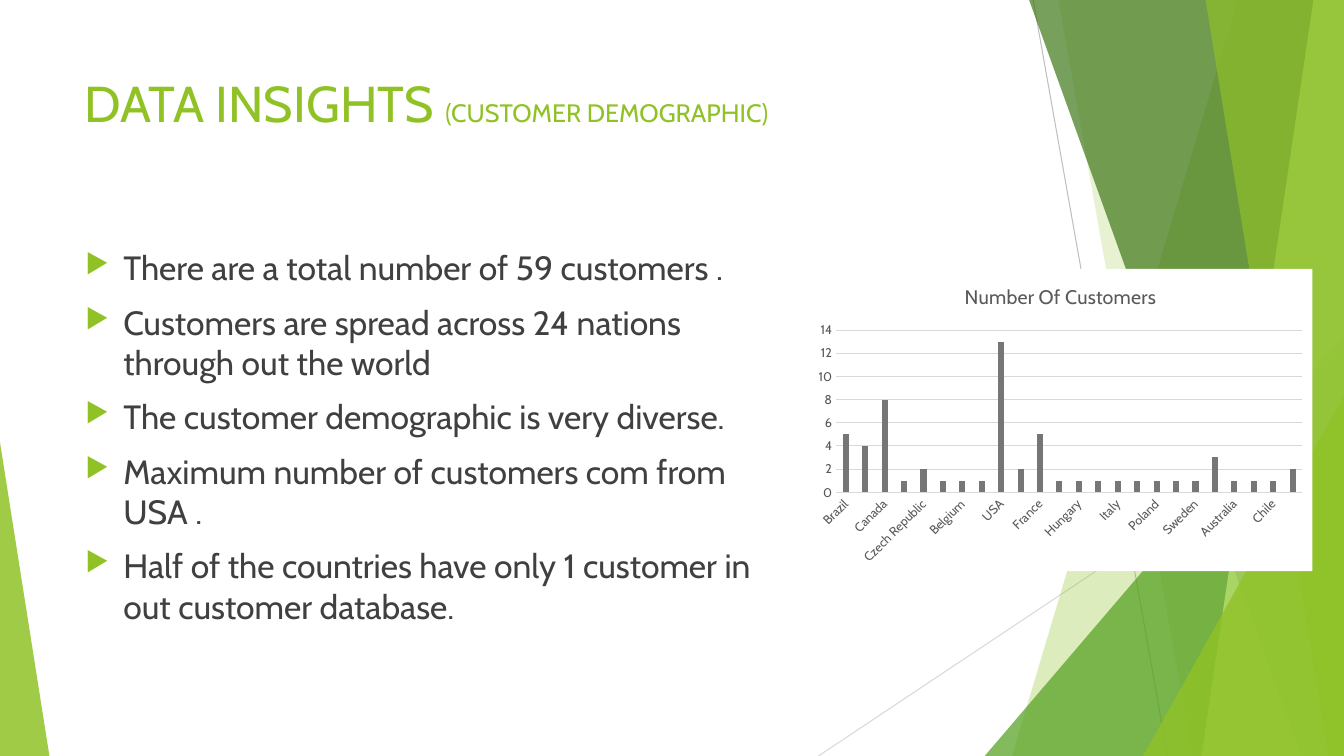
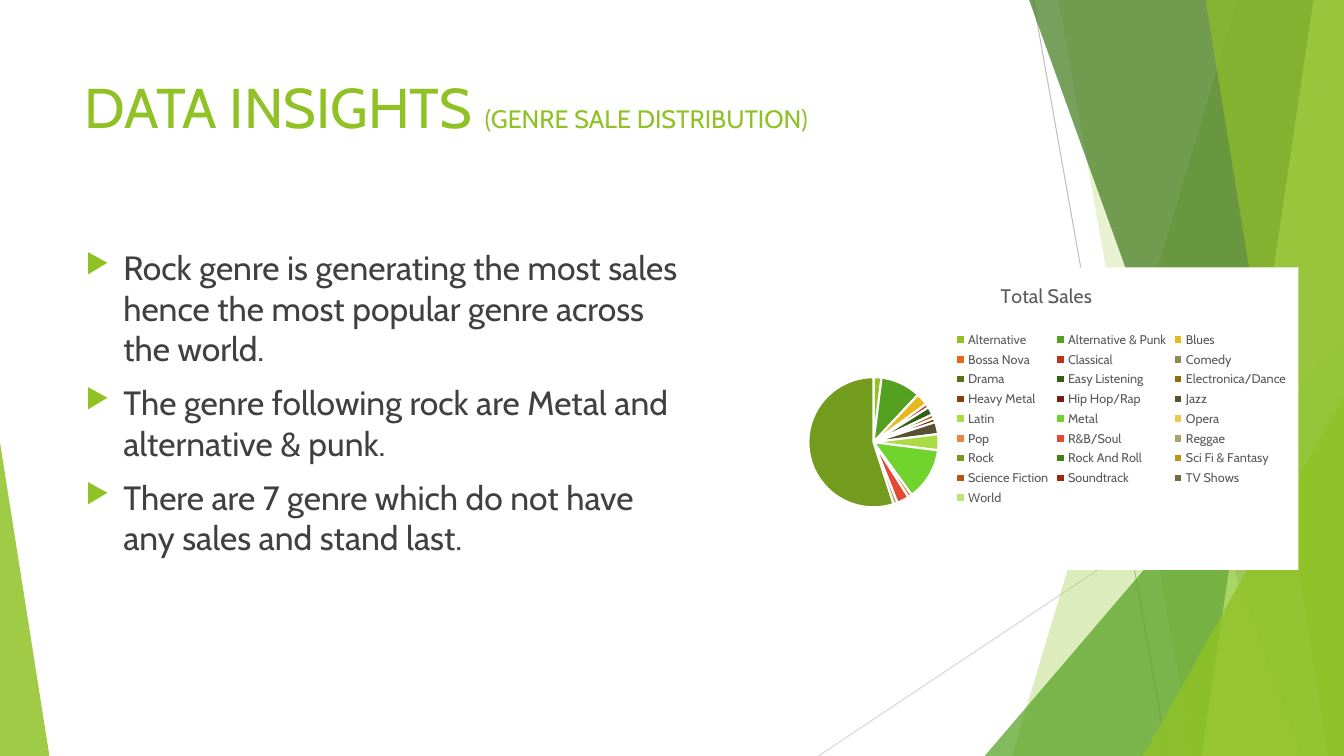
from lxml.etree import SubElement
from pptx import Presentation
from pptx.chart.data import CategoryChartData
from pptx.dml.color import RGBColor
from pptx.enum.chart import XL_CHART_TYPE, XL_LEGEND_POSITION, XL_TICK_MARK
from pptx.enum.shapes import MSO_CONNECTOR, MSO_SHAPE
from pptx.enum.text import MSO_ANCHOR, MSO_AUTO_SIZE, PP_ALIGN
from pptx.oxml import parse_xml
from pptx.oxml.ns import nsdecls, qn
from pptx.util import Pt

WIDTH, HEIGHT = 960, 540
TITLE_ONLY = 5
FONT = "Cabin"
COLORS = {
    "lime": "90C226", "green": "54A021", "forest": "3F7819", "pale": "C0E474",
    "text": "404040", "label": "595959", "black": "000000", "white": "FFFFFF",
    "line": "BFBFBF", "grid": "D9D9D9", "bar": "767676",
}

CUSTOMERS = {
    "Brazil": 5, "Germany": 4, "Canada": 8, "Norway": 1, "Czech Republic": 2,
    "Austria": 1, "Belgium": 1, "Denmark": 1, "USA": 13, "Portugal": 2,
    "France": 5, "Finland": 1, "Hungary": 1, "Ireland": 1, "Italy": 1,
    "Netherlands": 1, "Poland": 1, "Spain": 1, "Sweden": 1,
    "United Kingdom": 3, "Australia": 1, "Argentina": 1, "Chile": 1, "India": 2,
}

# Genre: (sales, slice colour)
GENRES = {
    "Alternative": (2, "90C226"), "Alternative & Punk": (10, "54A021"),
    "Blues": (3, "E6B91E"), "Bossa Nova": (0, "E76618"),
    "Classical": (1, "C42F1A"), "Comedy": (0, "918655"),
    "Drama": (0, "567417"), "Easy Listening": (2, "326014"),
    "Electronica/Dance": (1, "8C7010"), "Heavy Metal": (0, "8B3D0E"),
    "Hip Hop/Rap": (1, "761C10"), "Jazz": (3, "575033"),
    "Latin": (4, "ABDB45"), "Metal": (13, "70D42D"),
    "Opera": (0, "EBC74B"), "Pop": (1, "EC8546"),
    "R&B/Soul": (3, "E44934"), "Reggae": (1, "ACA272"),
    "Rock": (55, "739B1E"), "Rock And Roll": (0, "43801A"),
    "Sci Fi & Fantasy": (0, "BB9615"), "Science Fiction": (0, "B95213"),
    "Soundtrack": (0, "9D2615"), "TV Shows": (0, "746B44"),
    "World": (0, "C0E474"),
}


def rgb(color):
    return RGBColor.from_string(COLORS.get(color, color))


class Deck:
    """Holds the presentation, its style and the current slide."""

    def __init__(self):
        self.presentation = Presentation()
        self.presentation.slide_width = Pt(WIDTH)
        self.presentation.slide_height = Pt(HEIGHT)
        self.slide = None

    def new_slide(self):
        layout = self.presentation.slide_layouts[TITLE_ONLY]
        self.slide = self.presentation.slides.add_slide(layout)
        self.facets()

    def font(self, font, size, color):
        font.name, font.size, font.bold = FONT, Pt(size), False
        font.color.rgb = rgb(color)

    # Decoration
    def facets(self):
        self.line(738, 0, 834, HEIGHT, "line")
        self.line(WIDTH, 290, 584.6, HEIGHT, "grid")
        self.band(884.2, 722.9, "lime", 30)
        self.band(756, 851.8, "lime", 20)
        self.triangle(703.4, 239.8, 256.6, 1, "green", 72)
        self.band(735.1, 929.5, "forest", 70)
        self.band(938.2, 858.2, "pale", 70)
        self.band(861.1, 949, "lime", 65)
        self.triangle(816.5, 283, 143.5, 1, "lime", 80)
        self.triangle(0, 316, 35.3, 0, "lime", 85)

    def line(self, x1, y1, x2, y2, color):
        connector = self.slide.shapes.add_connector(
            MSO_CONNECTOR.STRAIGHT, Pt(x1), Pt(y1), Pt(x2), Pt(y2))
        connector.line.color.rgb = rgb(color)
        connector.line.width = Pt(0.75)
        SubElement(connector.element.spPr, qn("a:effectLst"))

    def band(self, top_x, bottom_x, color, opacity):
        """A full-height panel from a slanted left edge to the right edge."""
        builder = self.slide.shapes.build_freeform(Pt(top_x), 0)
        corners = [(WIDTH, 0), (WIDTH, HEIGHT), (bottom_x, HEIGHT)]
        builder.add_line_segments([(Pt(x), Pt(y)) for x, y in corners])
        self.tint(builder.convert_to_shape(), color, opacity)

    def triangle(self, left, top, width, apex, color, opacity):
        shape = self.slide.shapes.add_shape(
            MSO_SHAPE.ISOSCELES_TRIANGLE,
            Pt(left), Pt(top), Pt(width), Pt(HEIGHT - top))
        shape.adjustments[0] = apex
        self.tint(shape, color, opacity)

    def tint(self, shape, color, opacity):
        shape.shadow.inherit = False
        shape.line.fill.background()
        shape.fill.solid()
        shape.fill.fore_color.rgb = rgb(color)
        fill_color = shape.element.spPr.find(".//" + qn("a:srgbClr"))
        SubElement(fill_color, qn("a:alpha"), val=str(opacity * 1000))

    # Text
    def title(self, heading, size, subject):
        title = self.slide.shapes.title
        title.left, title.top = Pt(53.3), Pt(48)
        title.width, title.height = Pt(677), Pt(104)
        text_frame = title.text_frame
        text_frame.auto_size = MSO_AUTO_SIZE.NONE
        text_frame.vertical_anchor = MSO_ANCHOR.TOP
        paragraph = text_frame.paragraphs[0]
        paragraph.alignment = PP_ALIGN.LEFT
        for text, run_size in ((heading + " ", size), (subject, 18)):
            run = paragraph.add_run()
            run.text = text
            self.font(run.font, run_size, "lime")

    def bullets(self, width, items):
        box = self.slide.shapes.add_textbox(Pt(54), Pt(173), Pt(width), Pt(317))
        text_frame = box.text_frame
        text_frame.word_wrap = True
        text_frame.text = "\n".join(items)
        for paragraph in text_frame.paragraphs:
            paragraph.space_before = Pt(10)
            self.font(paragraph.runs[0].font, 24, "text")
            properties = paragraph._p.get_or_add_pPr()
            properties.set("marL", str(Pt(27)))
            properties.set("indent", str(-Pt(27)))
            bullet_color = SubElement(properties, qn("a:buClr"))
            SubElement(bullet_color, qn("a:srgbClr"), val=COLORS["lime"])
            SubElement(properties, qn("a:buSzPct"), val="80000")
            SubElement(properties, qn("a:buChar"), char="▶")

    # Charts
    def chart(self, kind, left, top, title, categories, values):
        data = CategoryChartData()
        data.categories = categories
        data.add_series("Series 1", values)
        chart = self.slide.shapes.add_chart(
            kind, Pt(left), Pt(top), Pt(360), Pt(216), data).chart
        self.font(chart.font, 10, "black")
        chart.has_legend = False
        chart.has_title = True
        chart.chart_title.text_frame.text = title
        run = chart.chart_title.text_frame.paragraphs[0].runs[0]
        self.font(run.font, 14, "label")
        chart.element.find(qn("c:chart")).addnext(parse_xml(
            f'<c:spPr {nsdecls("c", "a")}><a:solidFill>'
            f'<a:srgbClr val="{COLORS["white"]}"/></a:solidFill>'
            '<a:ln><a:noFill/></a:ln></c:spPr>'))
        return chart

    def column_chart(self, left, top, title, data):
        chart = self.chart(XL_CHART_TYPE.COLUMN_CLUSTERED, left, top, title,
                           data.keys(), data.values())
        plot = chart.plots[0]
        plot.vary_by_categories = False
        plot.gap_width, plot.overlap = 219, -27
        fill = plot.series[0].format.fill
        fill.solid()
        fill.fore_color.rgb = rgb("bar")
        category_axis, value_axis = chart.category_axis, chart.value_axis
        for axis in (category_axis, value_axis):
            axis.major_tick_mark = axis.minor_tick_mark = XL_TICK_MARK.NONE
            self.font(axis.tick_labels.font, 9, "label")
        # Let the labels turn by themselves where they would collide
        body = category_axis._element.find(qn("c:txPr")).find(qn("a:bodyPr"))
        body.set("rot", "-60000000")
        value_axis.minimum_scale, value_axis.maximum_scale = 0, 14
        value_axis.major_unit = 2
        value_axis.format.line.fill.background()
        for line in (category_axis.format.line,
                     value_axis.major_gridlines.format.line):
            line.color.rgb = rgb("grid")
            line.width = Pt(0.75)

    def pie_chart(self, left, top, title, data):
        values, colors = zip(*data.values())
        chart = self.chart(XL_CHART_TYPE.PIE, left, top, title,
                           data.keys(), values)
        chart.plots[0].vary_by_categories = True
        chart.has_legend = True
        chart.legend.position = XL_LEGEND_POSITION.RIGHT
        chart.legend.include_in_layout = False
        self.font(chart.legend.font, 9, "label")
        for index, color in enumerate(colors):
            style = chart.plots[0].series[0].points[index].format
            style.fill.solid()
            style.fill.fore_color.rgb = rgb(color)
            style.line.color.rgb = rgb("white")
            style.line.width = Pt(1.5)


def main():
    deck = Deck()

    # Customers by country
    deck.new_slide()
    deck.title("DATA INSIGHTS", 36, "(CUSTOMER DEMOGRAPHIC)")
    deck.bullets(510, [
        "There are a total number of 59 customers .",
        "Customers are spread across 24 nations through out the world",
        "The customer demographic is very diverse.",
        "Maximum number of customers com from USA .",
        "Half of the countries have only 1 customer in out customer database.",
    ])
    deck.column_chart(577.5, 192, "Number Of Customers", CUSTOMERS)

    # Sales by genre
    deck.new_slide()
    deck.title("DATA INSIGHTS", 40, "(GENRE SALE DISTRIBUTION)")
    deck.bullets(440.6, [
        "Rock genre is generating the most sales hence the most popular "
        "genre across the world.",
        "The genre following rock are Metal and alternative & punk.",
        "There are 7 genre which do not have any sales and stand last.",
    ])
    deck.pie_chart(567.5, 191, "Total Sales", GENRES)

    deck.presentation.save("out.pptx")


if __name__ == "__main__":
    main()
